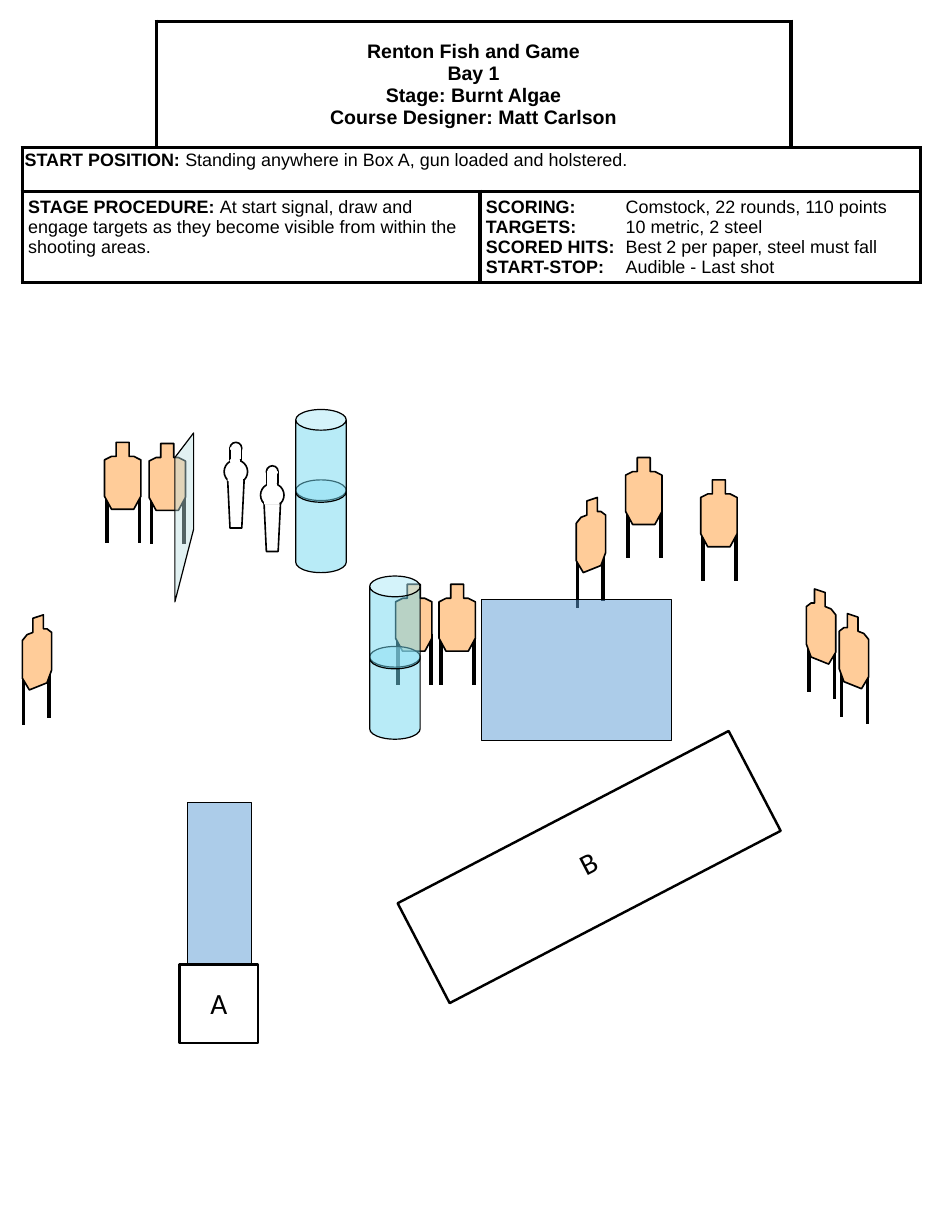
"""Build the stage briefing slide for a practical shooting course."""
from dataclasses import dataclass

import lxml.etree
import pptx
import pptx.dml.color
import pptx.enum.shapes
import pptx.enum.text
import pptx.oxml.ns
import pptx.util

PX = 9144
SHAPE = pptx.enum.shapes.MSO_SHAPE
qn = pptx.oxml.ns.qn


@dataclass(frozen=True)
class Theme:
    ink: str = "000000"
    paper: str = "FFFFFF"
    target: str = "FFCC99"
    barrel: str = "73D9F1"
    panel: str = "BBE0E3"
    area: str = "5B9BD5"
    table_font: str = "Arial"
    label_font: str = "Calibri"
    heading: float = 12
    body: float = 11
    label: float = 18
    heavy: float = 2.25
    medium: float = 1.5
    thin: float = 1
    hairline: float = 0.75


THEME = Theme()
FRONT_OUTLINE = [(10, 0), (21, 0), (21, 12), (25, 12), (31, 15), (31, 46),
                 (25, 57), (6, 57), (0, 46), (0, 15), (6, 12), (10, 12)]
FRONT_LEGS = [(2, 42, 86), (30, 42, 86)]
ANGLED_WIDTH = 25
ANGLED_OUTLINE = [(9, 3), (18, 0), (18, 12), (21, 12), (25, 15), (25, 47),
                  (21, 58), (6, 64), (0, 54), (0, 22), (4, 17), (9, 15)]
ANGLED_LEGS = [(1, 51, 94), (23, 45, 88)]


def px(*values):
    return [pptx.util.Emu(value * PX) for value in values]


def rgb(color):
    return pptx.dml.color.RGBColor.from_string(color)


def style(shape, fill, width, line=THEME.ink, opacity=100):
    shape.shadow.inherit = False
    if fill:
        shape.fill.solid()
        shape.fill.fore_color.rgb = rgb(fill)
    else:
        shape.fill.background()
    if opacity < 100:
        color = shape.element.spPr.find(qn("a:solidFill")).find(qn("a:srgbClr"))
        lxml.etree.SubElement(color, qn("a:alpha"), val=str(opacity * 1000))
    if width:
        shape.line.color.rgb = rgb(line)
        shape.line.width = pptx.util.Pt(width)
    else:
        shape.line.fill.background()


def add_preset(shapes, kind, box, fill, width, **options):
    shape = shapes.add_shape(kind, *px(*box))
    style(shape, fill, width, **options)
    return shape


def add_outline(shapes, left, top, points, fill, width, **options):
    placed = [(left + x, top + y) for x, y in points]
    builder = shapes.build_freeform(*placed[0], scale=PX)
    builder.add_line_segments(placed[1:], close=True)
    style(builder.convert_to_shape(), fill, width, **options)


def add_target(slide, left, top, outline, legs):
    shapes = slide.shapes.add_group_shape().shapes
    for x, start, end in legs:
        leg = shapes.add_connector(
            pptx.enum.shapes.MSO_CONNECTOR.STRAIGHT,
            *px(left + x, top + start, left + x, top + end))
        leg.line.color.rgb = rgb(THEME.ink)
        leg.line.width = pptx.util.Pt(THEME.heavy)
        lxml.etree.SubElement(leg.element.spPr, qn("a:effectLst"))
    add_outline(shapes, left, top, outline, THEME.target, THEME.thin)


def add_front_target(slide, left, top):
    add_target(slide, left, top, FRONT_OUTLINE, FRONT_LEGS)


def add_angled_target(slide, left, top, mirrored=False):
    outline, legs = ANGLED_OUTLINE, ANGLED_LEGS
    if mirrored:
        outline = [(ANGLED_WIDTH - x, y) for x, y in outline]
        legs = [(ANGLED_WIDTH - x, start, end) for x, start, end in legs]
    add_target(slide, left, top, outline, legs)


def add_popper(slide, left, top):
    shapes = slide.shapes.add_group_shape().shapes

    def part(kind, x, y, width, height, line_width=THEME.thin, line=THEME.ink):
        add_preset(shapes, kind, (left + x, top + y, width, height),
                   THEME.paper, line_width, line=line)

    part(SHAPE.OVAL, 5, 0, 10, 10)
    part(SHAPE.OVAL, 0, 15, 20, 20)
    add_outline(shapes, left, top, [(3, 32), (17, 32), (15, 73), (5, 73)],
                THEME.paper, THEME.thin)
    part(SHAPE.RECTANGLE, 5, 5, 10, 10)
    part(SHAPE.RECTANGLE, 3, 31, 13, 2, line_width=0)
    part(SHAPE.RECTANGLE, 6, 15, 7, 2, line=THEME.paper)
    part(SHAPE.RECTANGLE, 6, 5, 8, 1, line=THEME.paper)


def add_barrels(slide, left, top):
    shapes = slide.shapes.add_group_shape().shapes
    for y in (top + 60, top):
        barrel = add_preset(shapes, SHAPE.CAN, (left, y, 43, 79),
                            THEME.barrel, THEME.hairline, opacity=50)
        barrel.adjustments[0] = 0.41


def add_area(slide, box):
    add_preset(slide.shapes, SHAPE.RECTANGLE, box, THEME.area, THEME.hairline,
               opacity=50)


def add_labelled_box(slide, text, box, label_box, rotation=0):
    shapes = slide.shapes.add_group_shape().shapes
    frame = add_preset(shapes, SHAPE.RECTANGLE, box, None, THEME.medium)
    label = shapes.add_textbox(*px(*label_box))
    frame.rotation = label.rotation = rotation
    label.text_frame.word_wrap = True
    paragraph = label.text_frame.paragraphs[0]
    paragraph.text = text
    paragraph.alignment = pptx.enum.text.PP_ALIGN.CENTER
    set_font(paragraph.font, THEME.label_font, THEME.label)


def set_font(font, name, size):
    font.name = name
    font.size = pptx.util.Pt(size)
    font.color.rgb = rgb(THEME.ink)


def format_cell(cell, edges):
    properties = cell._tc.get_or_add_tcPr()
    for edge in "LRTB":
        line = lxml.etree.SubElement(properties, qn(f"a:ln{edge}"),
                                     w=str(pptx.util.Pt(THEME.heavy)))
        if edge in edges:
            fill = lxml.etree.SubElement(line, qn("a:solidFill"))
            lxml.etree.SubElement(fill, qn("a:srgbClr"), val=THEME.ink)
        else:
            lxml.etree.SubElement(line, qn("a:noFill"))
    cell.fill.solid()
    cell.fill.fore_color.rgb = rgb(THEME.paper)


def write_entries(cell, entries, margins=(5, 5), separator=" ", tab=None):
    cell.margin_left, cell.margin_top = px(*margins)
    cell.margin_right, cell.margin_bottom = px(*margins)
    for index, (heading, text) in enumerate(entries):
        frame = cell.text_frame
        paragraph = frame.add_paragraph() if index else frame.paragraphs[0]
        if tab:
            stops = lxml.etree.SubElement(paragraph._p.get_or_add_pPr(), qn("a:tabLst"))
            lxml.etree.SubElement(stops, qn("a:tab"), pos=str(tab * PX), algn="l")
        set_font(paragraph.font, THEME.table_font, THEME.body)
        for words, bold in ((heading + separator, True), (text, False)):
            run = paragraph.add_run()
            run.text = words
            run.font.bold = bold


def add_briefing(slide):
    widths, heights = (114, 276, 265, 110), (108, 37, 78)
    table = slide.shapes.add_table(
        len(heights), len(widths), *px(19, 18, sum(widths), sum(heights))).table
    table.first_row = table.horz_banding = False
    for column, width in zip(table.columns, px(*widths)):
        column.width = width
    for row, height in zip(table.rows, px(*heights)):
        row.height = height
    for row in range(len(heights)):
        for column in range(len(widths)):
            corner = {(0, 0): "RB", (0, 3): "LB"}
            format_cell(table.cell(row, column), corner.get((row, column), "LRTB"))
    for first, last in (((0, 1), (0, 2)), ((1, 0), (1, 3)),
                        ((2, 0), (2, 1)), ((2, 2), (2, 3))):
        table.cell(*first).merge(table.cell(*last))

    title = table.cell(0, 1)
    title.vertical_anchor = pptx.enum.text.MSO_ANCHOR.MIDDLE
    paragraph = title.text_frame.paragraphs[0]
    paragraph.text = "\v".join(["Renton Fish and Game", "Bay 1", "Stage: Burnt Algae",
                                "Course Designer: Matt Carlson"])
    paragraph.alignment = pptx.enum.text.PP_ALIGN.CENTER
    set_font(paragraph.font, THEME.table_font, THEME.heading)
    paragraph.font.bold = True

    start = table.cell(1, 0)
    write_entries(start, [("START POSITION:", "Standing anywhere in Box A, gun loaded and holstered.")],
                  margins=(2, 4))
    start.text_frame.paragraphs[0].line_spacing = 0.9
    write_entries(table.cell(2, 0), [
        ("STAGE PROCEDURE:", "At start signal, draw and engage targets as they "
         "become visible from within the shooting areas.")])
    write_entries(table.cell(2, 2), [
        ("SCORING:", "Comstock, 22 rounds, 110 points"),
        ("TARGETS:", "10 metric, 2 steel"),
        ("SCORED HITS:", "Best 2 per paper, steel must fall"),
        ("START-STOP:", "Audible - Last shot")], separator="\t", tab=119)


def main():
    presentation = pptx.Presentation()
    presentation.slide_width, presentation.slide_height = px(800, 1050)
    slide = presentation.slides.add_slide(presentation.slide_layouts[6])
    add_briefing(slide)
    for left, top in ((89, 377), (127, 378), (597, 409), (337, 498), (533, 390), (374, 498)):
        add_front_target(slide, left, top)
    for left, top, mirrored in ((491, 424, False), (19, 524, False),
                                (687, 502, True), (715, 523, True)):
        add_angled_target(slide, left, top, mirrored)
    add_outline(slide.shapes, 149, 369, [(16, 82), (0, 144), (0, 21), (16, 0)],
                THEME.panel, THEME.hairline, opacity=44)
    for left, top in ((191, 377), (222, 397)):
        add_popper(slide, left, top)
    for left, top in ((315, 491), (252, 349)):
        add_barrels(slide, left, top)
    add_area(slide, (160, 684, 54, 138))
    add_area(slide, (410, 511, 162, 120))
    add_labelled_box(slide, "A", (153, 822, 67, 67), (153, 835, 67, 40))
    add_labelled_box(slide, "B", (343, 691, 318, 96), (346, 714, 318, 58), 332.5)
    presentation.save("out.pptx")


if __name__ == "__main__":
    main()
